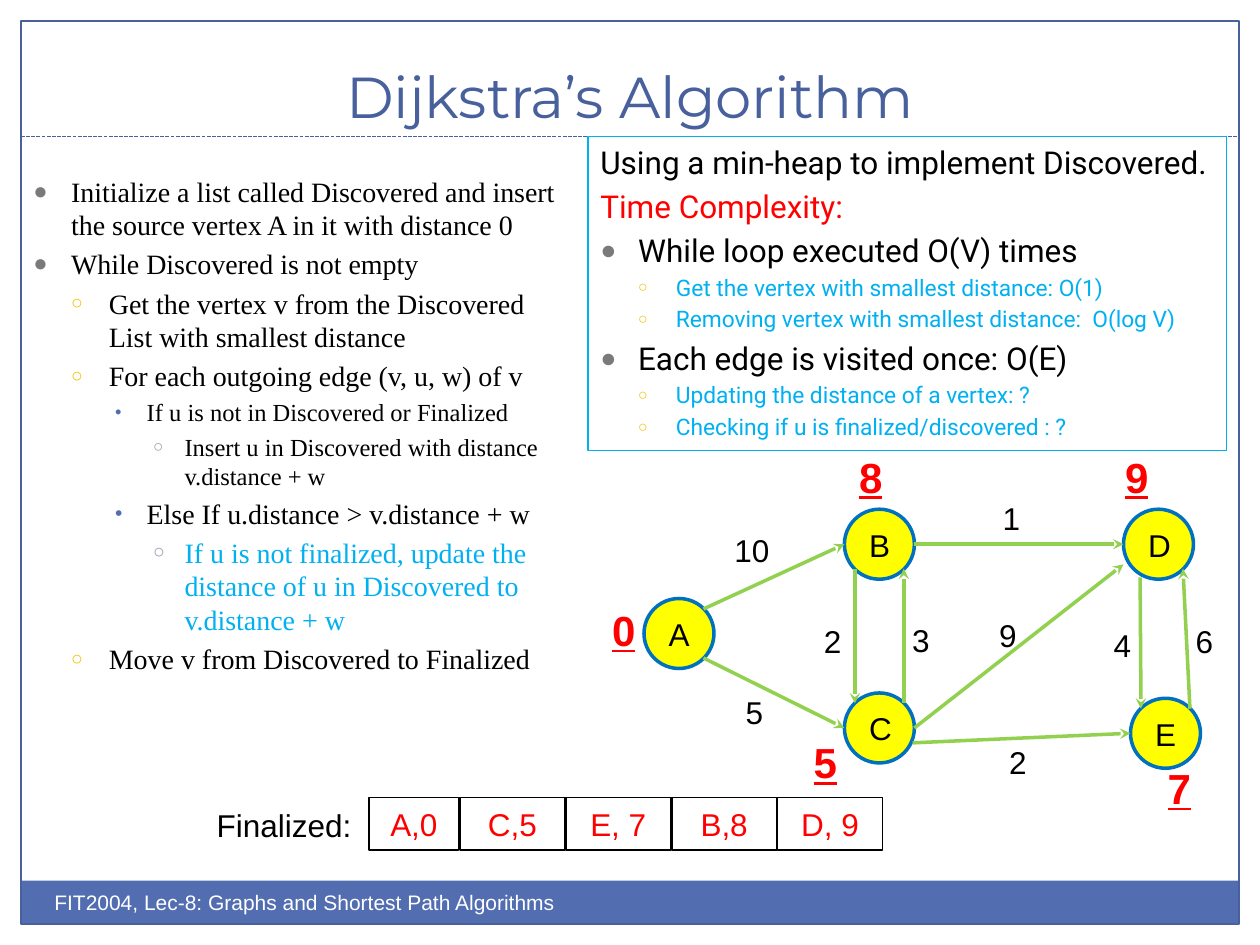
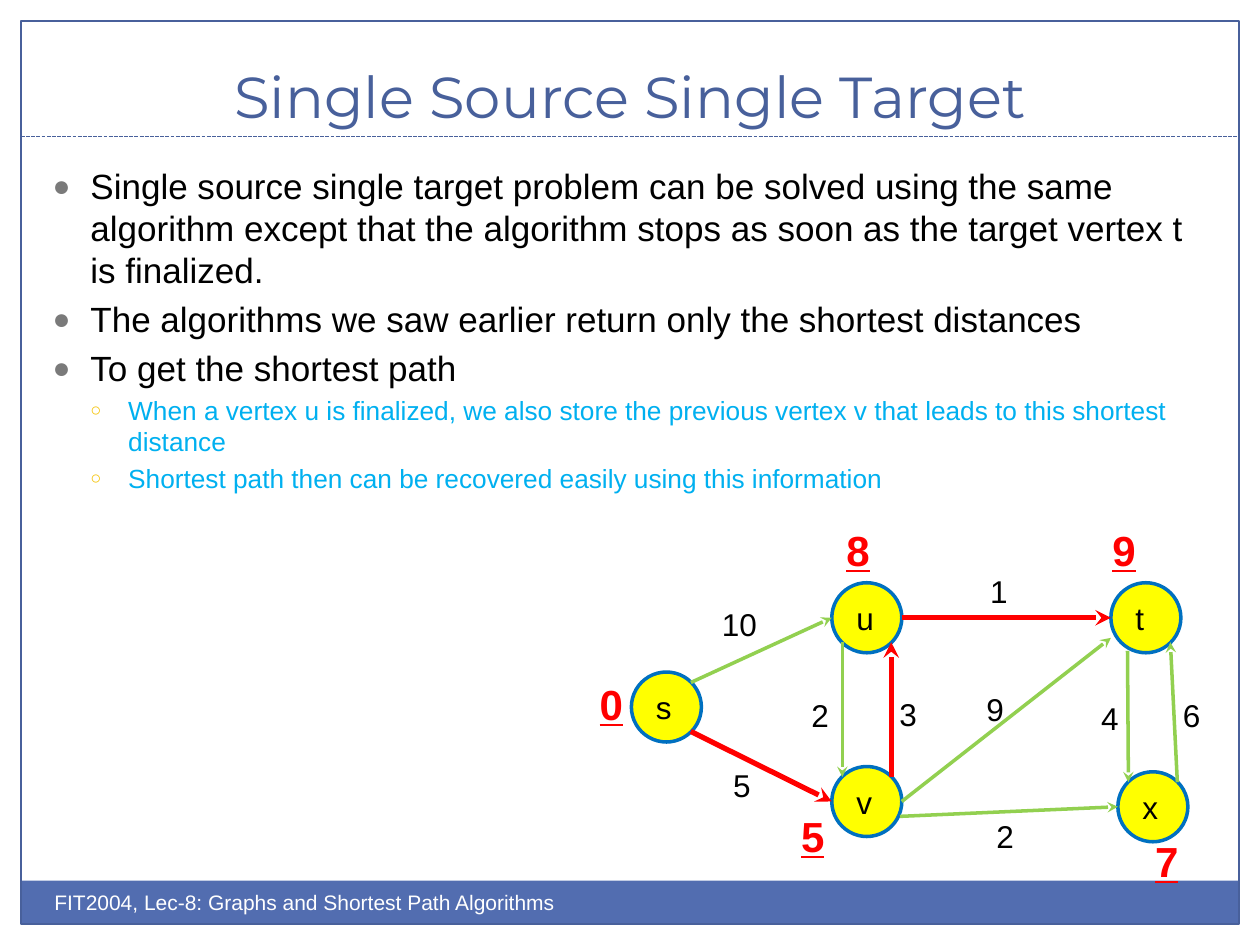
"""Build two slides on Dijkstra's algorithm and shortest paths in a weighted graph."""
from lxml.etree import SubElement
from pptx import Presentation
from pptx.dml.color import RGBColor
from pptx.enum.dml import MSO_LINE
from pptx.enum.shapes import MSO_CONNECTOR, MSO_SHAPE
from pptx.enum.text import MSO_ANCHOR as Anchor, PP_ALIGN as Align
from pptx.oxml.ns import qn
from pptx.util import Pt

WHITE = RGBColor(0xFF, 0xFF, 0xFF)
BLACK = RGBColor(0, 0, 0)
RED = RGBColor(0xFF, 0, 0)
YELLOW = RGBColor(0xFF, 0xFF, 0)
GREEN = RGBColor(0x92, 0xD0, 0x50)
BLUE = RGBColor(0x00, 0x70, 0xC0)
SKY = RGBColor(0x00, 0xB0, 0xF0)
NAVY = RGBColor(0x48, 0x60, 0x9B)
BAND = RGBColor(0x52, 0x6D, 0xB0)
GRAY = RGBColor(0x7A, 0x7A, 0x7A)
GOLD = RGBColor(0xF5, 0xC2, 0x01)
SILVER = RGBColor(0x98, 0x9A, 0xAC)

TITLE = {"name": "Montserrat", "size": Pt(33)}
FOOTER = {"name": "Arial", "size": Pt(12)}
LABEL = {"name": "Arial", "size": Pt(18)}
DISTANCE = {"name": "Arial", "size": Pt(24), "bold": True, "underline": True}

# Per level: margin, hanging indent, character, colour, size in percent.
BULLETS = [
    (21.6, 21.6, "●", GRAY, 85),
    (43.2, 21.6, "○", GOLD, 70),
    (64.8, 18, "•", BAND, 75),
    (86.4, 18, "○", SILVER, 70),
]

RADIUS = 20
DIAGONAL = 14
LEFT, RIGHT = (-RADIUS, 0), (RADIUS, 0)
TOP_LEFT, TOP_RIGHT = (-DIAGONAL, -DIAGONAL), (DIAGONAL, -DIAGONAL)
LOW_LEFT, LOW_RIGHT = (-DIAGONAL, DIAGONAL), (DIAGONAL, DIAGONAL)
RIGHT_BELOW, LEFT_BELOW, BELOW_LEFT = (19, 8.5), (-20, 11.5), (-10.5, 19)

# Per vertex: centre, distance, place of the distance.
VERTICES = {
    "A": ((388, 362), "0", (342.7, 342)),
    "B": ((502.5, 311), "8", (483.8, 254.2)),
    "C": ((502.5, 416), "5", (457.9, 417.6)),
    "D": ((662, 311), "9", (635.8, 254.2)),
    "E": ((666, 419), "7", (660.2, 432)),
}

# Per edge: source and its side, target and its side, weight, place of the weight.
EDGES = [
    ("A", TOP_RIGHT, "B", LEFT, "10", (412.6, 300.2)),
    ("A", LOW_RIGHT, "C", LEFT, "5", (419, 392.4)),
    ("B", LOW_LEFT, "C", TOP_LEFT, "2", (463.7, 352.1)),
    ("C", TOP_RIGHT, "B", LOW_RIGHT, "3", (514.1, 351.4)),
    ("B", RIGHT, "D", LEFT, "1", (565.9, 281.5)),
    ("C", RIGHT, "D", LEFT_BELOW, "9", (563.8, 348.5)),
    ("C", RIGHT_BELOW, "E", LEFT, "2", (569.5, 421.2)),
    ("D", BELOW_LEFT, "E", TOP_LEFT, "4", (629.3, 354.2)),
    ("E", TOP_RIGHT, "D", LOW_RIGHT, "6", (676.1, 352.1)),
]

# Width of a glyph in ems; digits and most small letters use the default.
GLYPH_WIDTHS = {"A": 0.67, "B": 0.67, "C": 0.72, "D": 0.72, "E": 0.67,
                "s": 0.5, "v": 0.5, "x": 0.5, "t": 0.28}

ALGORITHM = [
    (0, "Initialize a list called Discovered and insert the source vertex A in it "
        "with distance 0", 16, BLACK),
    (0, "While Discovered is not empty", 16, BLACK),
    (1, "Get the vertex v from the Discovered List with smallest distance", 16, BLACK),
    (1, "For each outgoing edge (v, u, w) of v", 16, BLACK),
    (2, "If u is not in Discovered or Finalized", 14, BLACK),
    (3, "Insert u in Discovered with distance v.distance + w", 14, BLACK),
    (2, "Else If u.distance > v.distance + w", 16, BLACK),
    (3, "If u is not finalized, update the distance of u in Discovered to "
        "v.distance + w", 16, SKY),
    (1, "Move v from Discovered to Finalized", 16, BLACK),
]
COMPLEXITY = [
    (None, "Using a min-heap to implement Discovered.", 18, BLACK),
    (None, "Time Complexity:", 18, RED),
    (0, "While loop executed O(V) times", 18, BLACK),
    (1, "Get the vertex with smallest distance: O(1)", 13, SKY),
    (1, "Removing vertex with smallest distance:  O(log V)", 13, SKY),
    (0, "Each edge is visited once: O(E)", 18, BLACK),
    (1, "Updating the distance of a vertex: ?", 13, SKY),
    (1, "Checking if u is finalized/discovered : ?", 13, SKY),
]
SINGLE_TARGET = [
    (0, "Single source single target problem can be solved using the same algorithm "
        "except that the algorithm stops as soon as the target vertex t is finalized.",
     20, BLACK),
    (0, "The algorithms we saw earlier return only the shortest distances", 20, BLACK),
    (0, "To get the shortest path", 20, BLACK),
    (1, "When a vertex u is finalized, we also store the previous vertex v that leads "
        "to this shortest distance", 15, SKY),
    (1, "Shortest path then can be recovered easily using this information", 15, SKY),
]


def points(*lengths):
    """Turn numbers into lengths in points."""
    return [Pt(length) for length in lengths]


def format_run(paragraph, text, style, color):
    """Add a run with the given font values."""
    run = paragraph.add_run()
    run.text = text
    for attribute, value in style.items():
        setattr(run.font, attribute, value)
    run.font.color.rgb = color


def add_box(slide, kind, bounds, fill=None, line=None, width=0.75):
    """Add a preset shape, filled or outlined."""
    shape = slide.shapes.add_shape(kind, *points(*bounds))
    shape.shadow.inherit = False
    if fill is None:
        shape.fill.background()
    else:
        shape.fill.solid()
        shape.fill.fore_color.rgb = fill
    if line is None:
        shape.line.fill.background()
    else:
        shape.line.color.rgb = line
        shape.line.width = Pt(width)
    return shape


def add_line(slide, start, end, color, width):
    """Add a straight connector without a shadow."""
    connector = slide.shapes.add_connector(MSO_CONNECTOR.STRAIGHT, *points(*start, *end))
    connector.line.color.rgb = color
    connector.line.width = Pt(width)
    SubElement(connector._element.spPr, qn("a:effectLst"))
    return connector


def add_arrow(slide, start, end, color, width):
    """Add a connector with a stealth head at its end."""
    connector = add_line(slide, start, end, color, width)
    SubElement(connector.line._get_or_add_ln(), qn("a:tailEnd"), type="stealth")


def add_text(slide, bounds, text, style, color, align=Align.LEFT, anchor=Anchor.TOP):
    """Add a text box with one wrapped paragraph."""
    frame = slide.shapes.add_textbox(*points(*bounds)).text_frame
    frame.word_wrap = True
    frame.vertical_anchor = anchor
    frame.paragraphs[0].alignment = align
    format_run(frame.paragraphs[0], text, style, color)


def add_label(slide, place, text, style=LABEL, color=BLACK):
    """Add a short label in a box as wide as its text."""
    size = style["size"].pt
    width = 14.4 + size * sum(GLYPH_WIDTHS.get(glyph, 0.556) for glyph in text)
    box = slide.shapes.add_textbox(*points(*place, width, size * 1.2 + 7.2))
    box.text_frame.word_wrap = False
    format_run(box.text_frame.paragraphs[0], text, style, color)


def set_bullet(paragraph, level):
    """Give a paragraph the indent and bullet of its level."""
    margin, hanging, character, color, percent = BULLETS[level]
    paragraph.level = level
    properties = paragraph._p.get_or_add_pPr()
    properties.set("marL", str(Pt(margin)))
    properties.set("indent", str(-Pt(hanging)))
    bullet_color = SubElement(properties, qn("a:buClr"))
    SubElement(bullet_color, qn("a:srgbClr"), val=str(color))
    SubElement(properties, qn("a:buSzPct"), val=str(percent * 1000))
    SubElement(properties, qn("a:buFont"), typeface="Arial")
    SubElement(properties, qn("a:buChar"), char=character)


def fill_outline(shape, items, font_name):
    """Write an outline of bulleted levels into a shape."""
    frame = shape.text_frame
    frame.word_wrap = True
    frame.vertical_anchor = Anchor.TOP
    for index, (level, text, size, color) in enumerate(items):
        paragraph = frame.add_paragraph() if index else frame.paragraphs[0]
        paragraph.alignment = Align.LEFT
        paragraph.space_before = Pt(size * 0.2)
        if level is not None:
            set_bullet(paragraph, level)
        format_run(paragraph, text, {"name": font_name, "size": Pt(size)}, color)


def add_outline(slide, bounds, items, font_name):
    """Add a text box holding an outline."""
    fill_outline(slide.shapes.add_textbox(*points(*bounds)), items, font_name)


def add_framed_slide(presentation, title):
    """Add a slide with the shared frame, title and footer."""
    slide = presentation.slides.add_slide(presentation.slide_layouts[6])
    add_box(slide, MSO_SHAPE.RECTANGLE, (11.8, 503.2, 695.8, 24.6), fill=BAND)
    add_box(slide, MSO_SHAPE.RECTANGLE, (12, 12, 696, 516), line=NAVY)
    rule = add_line(slide, (12, 78), (708, 78), NAVY, 0.75)
    rule.line.dash_style = MSO_LINE.SQUARE_DOT
    SubElement
    rule.line._get_or_add_ln().find(qn("a:prstDash")).set("val", "sysDash")
    add_text(slide, (24, 18, 672, 60), title, TITLE, NAVY, Align.CENTER, Anchor.BOTTOM)
    add_text(slide, (24, 505, 360, 28.8),
             "FIT2004, Lec-8: Graphs and Shortest Path Algorithms", FOOTER, WHITE)
    return slide


def add_graph(slide, names, shift=(0, 0), route=()):
    """Draw the weighted graph, with the edges of a route in red."""
    def move(place, offset=(0, 0)):
        """Add the shift and an offset to a place."""
        return tuple(map(sum, zip(place, shift, offset)))

    for name, (vertex, (center, _, _)) in zip(names, VERTICES.items()):
        corner = move(center, (-RADIUS, -RADIUS))
        add_box(slide, MSO_SHAPE.OVAL, (*corner, 2 * RADIUS, 2 * RADIUS), YELLOW, BLUE, 2)
        add_label(slide, move(center, (-13, -14.2)), name)
    for source, side, target, target_side, weight, place in EDGES:
        color, width = (RED, 3) if source + target in route else (GREEN, 2)
        start = move(VERTICES[source][0], side)
        end = move(VERTICES[target][0], target_side)
        add_arrow(slide, start, end, color, width)
        add_label(slide, move(place), weight)
    for _, distance, place in VERTICES.values():
        add_label(slide, move(place), distance, DISTANCE, RED)


def add_finalized_row(slide, entries):
    """Draw the row of finalized vertices, the first cell narrower."""
    add_text(slide, (116.8, 457.2, 94, 28.8), "Finalized:", LABEL, BLACK)
    for index, entry in enumerate(entries):
        left, width = (262.8 + 60.5 * (index - 1), 60) if index else (211, 51)
        cell = add_box(slide, MSO_SHAPE.RECTANGLE, (left, 455.8, width, 30), line=BLACK, width=1)
        frame = cell.text_frame
        frame.vertical_anchor = Anchor.MIDDLE
        frame.paragraphs[0].alignment = Align.CENTER
        format_run(frame.paragraphs[0], entry, LABEL, RED)


def main():
    """Build both slides and save the presentation."""
    presentation = Presentation()
    presentation.slide_width, presentation.slide_height = points(720, 540)

    slide = add_framed_slide(presentation, "Dijkstra’s Algorithm")
    add_graph(slide, "ABCDE")
    add_outline(slide, (12, 96, 318, 282), ALGORITHM, "Times New Roman")
    add_finalized_row(slide, ["A,0", "C,5", "E, 7", "B,8", "D, 9"])
    panel = add_box(slide, MSO_SHAPE.RECTANGLE, (336, 78, 365, 179.3), line=SKY)
    fill_outline(panel, COMPLEXITY, "Roboto")

    slide = add_framed_slide(presentation, "Single Source Single Target")
    add_graph(slide, "suvtx", shift=(-7.2, 42), route=("AC", "CB", "BD"))
    add_outline(slide, (23, 90.7, 671, 282), SINGLE_TARGET, "Arial")

    presentation.save("out.pptx")


if __name__ == "__main__":
    main()
